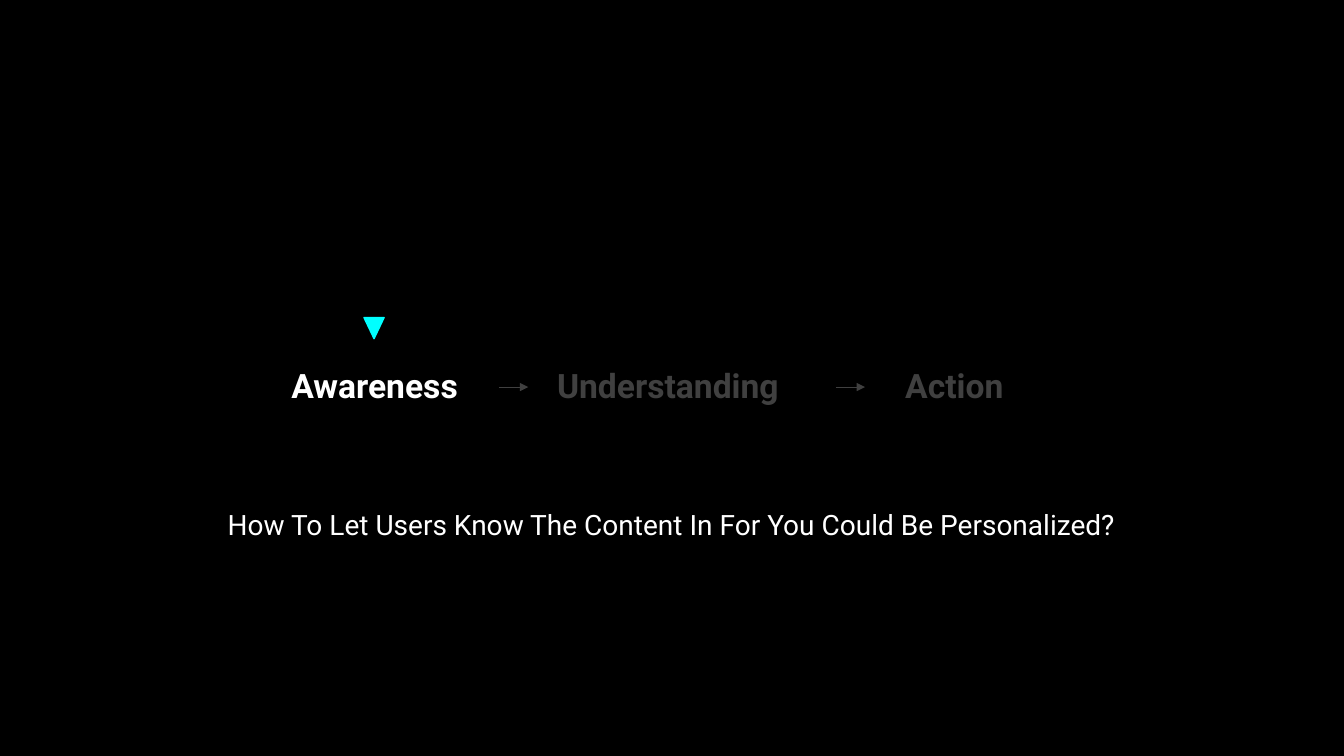
from dataclasses import dataclass

import lxml.etree
import pptx
import pptx.dml.color
import pptx.enum.shapes
import pptx.enum.text
import pptx.oxml.ns
import pptx.shapes.autoshape
import pptx.slide
import pptx.util

Inches = pptx.util.Inches
COLORS = {"background": "000000", "active": "FFFFFF", "inactive": "404040", "marker": "00FFFF"}
STAGE_TOP, STAGE_HEIGHT = 3.57, 0.54
ARROW_LENGTH = 0.29


@dataclass(frozen=True)
class Label:
    text: str
    left: float
    top: float
    width: float
    height: float
    color: str
    size: int = 24
    bold: bool = True
    line_spacing: float = 1.0


STAGES = [
    Label(text, left, STAGE_TOP, width, STAGE_HEIGHT, color)
    for text, left, width, color in (
        ("Awareness", 2.67, 2.09, "active"),
        ("Understanding ", 5.24, 2.85, "inactive"),
        ("Action", 8.58, 1.77, "inactive"),
    )
]
QUESTION = Label(
    "How To Let Users Know The Content In For You Could Be Personalized?",
    0.91, 5.02, 11.5, 1.64, "active", size=20, bold=False, line_spacing=0.9,
)


def rgb(name: str) -> pptx.dml.color.RGBColor:
    return pptx.dml.color.RGBColor.from_string(COLORS[name])


def add_label(slide: pptx.slide.Slide, label: Label) -> pptx.shapes.autoshape.Shape:
    box = slide.shapes.add_textbox(
        Inches(label.left), Inches(label.top), Inches(label.width), Inches(label.height)
    )
    box.text_frame.word_wrap = True
    paragraph = box.text_frame.paragraphs[0]
    paragraph.alignment = pptx.enum.text.PP_ALIGN.CENTER
    paragraph.line_spacing = label.line_spacing
    run = paragraph.add_run()
    run.text = label.text
    run.font.name = "Roboto"
    run.font.size = pptx.util.Pt(label.size)
    run.font.bold = label.bold
    run.font.color.rgb = rgb(label.color)
    return box


def add_arrow_into(slide: pptx.slide.Slide, stage: pptx.shapes.autoshape.Shape) -> None:
    middle = stage.top + stage.height // 2
    arrow = slide.shapes.add_connector(
        pptx.enum.shapes.MSO_CONNECTOR.STRAIGHT,
        stage.left - Inches(ARROW_LENGTH), middle, stage.left, middle,
    )
    arrow.end_connect(stage, 1)
    arrow.line.color.rgb = rgb("inactive")
    arrow.line.width = pptx.util.Pt(0.5)
    outline = arrow.line._get_or_add_ln()
    lxml.etree.SubElement(outline, pptx.oxml.ns.qn("a:tailEnd"), type="triangle")
    lxml.etree.SubElement(arrow._element.spPr, pptx.oxml.ns.qn("a:effectLst"))


def add_marker(slide: pptx.slide.Slide) -> None:
    marker = slide.shapes.add_shape(
        pptx.enum.shapes.MSO_SHAPE.ISOSCELES_TRIANGLE,
        Inches(3.61), Inches(3.15), Inches(0.2), Inches(0.21),
    )
    marker.rotation = 180
    marker.shadow.inherit = False
    marker.fill.solid()
    marker.fill.fore_color.rgb = rgb("marker")
    marker.line.color.rgb = rgb("marker")
    marker.line.width = pptx.util.Pt(1)


def main() -> None:
    deck = pptx.Presentation()
    deck.slide_width, deck.slide_height = Inches(13.33), Inches(7.5)
    slide = deck.slides.add_slide(deck.slide_layouts[6])
    slide.background.fill.solid()
    slide.background.fill.fore_color.rgb = rgb("background")
    add_marker(slide)
    add_label(slide, QUESTION)
    stages = [add_label(slide, stage) for stage in STAGES]
    for stage in stages[1:]:
        add_arrow_into(slide, stage)
    deck.save("out.pptx")


if __name__ == "__main__":
    main()
